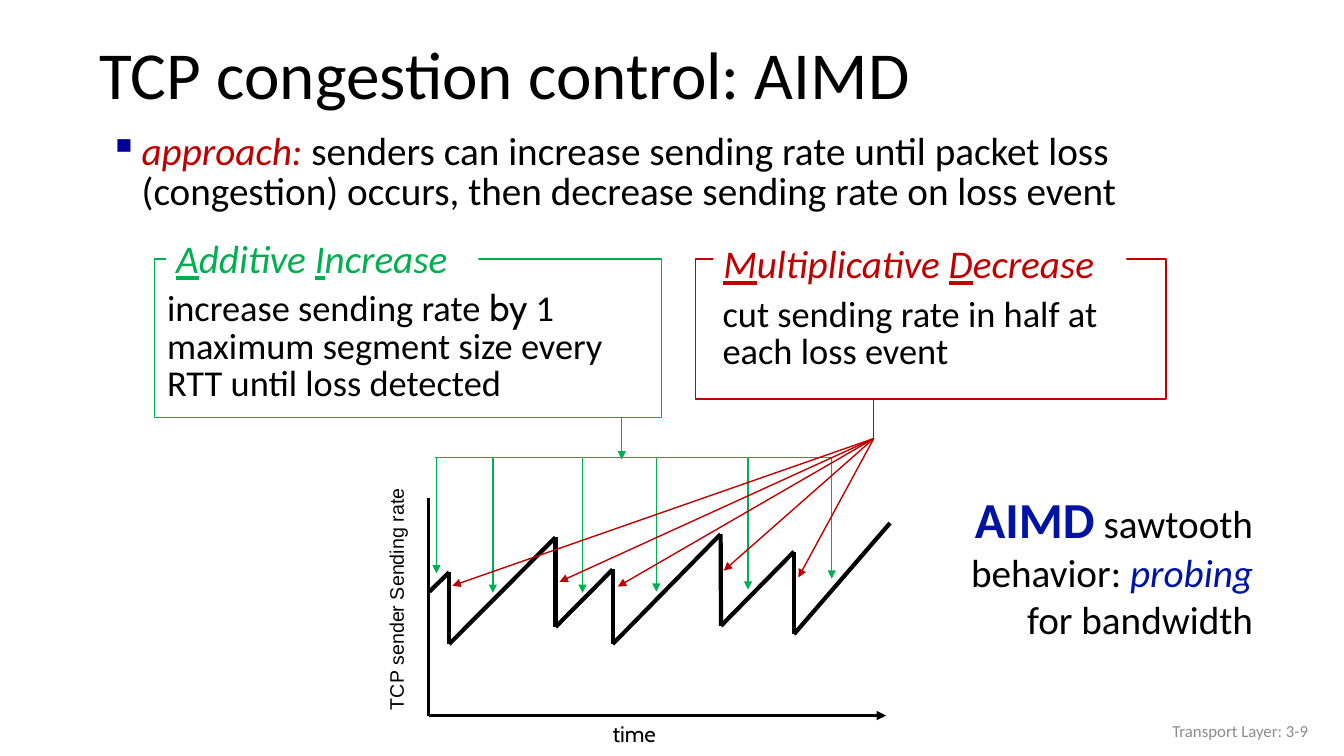
from itertools import pairwise

from lxml.etree import SubElement
from pptx import Presentation
from pptx.dml.color import RGBColor
from pptx.enum.shapes import MSO_CONNECTOR as Link, MSO_SHAPE as Preset
from pptx.enum.text import MSO_ANCHOR as Anchor, PP_ALIGN as Align
from pptx.oxml.ns import qn
from pptx.util import Cm, Pt

BLACK, WHITE, GREEN, RED = "000000", "FFFFFF", "00B050", "C00000"
NAVY, BULLET_BLUE, GRAY = "0013A3", "000099", "8C8C8C"

BUS_Y = 11.53
LOSS_ORIGIN = (22.02, 11.05)
SAWTOOTH = [
    (10.82, 14.91), (11.32, 14.42), (11.32, 16.23), (14, 13.54),
    (14, 15.8), (15.44, 14.35), (15.44, 16.23), (18.16, 13.46),
    (18.17, 15.77), (20.01, 13.9), (20.01, 15.98), (22.43, 13.18),
]
INCREASES = [
    (11, 14.45), (12.42, 14.94), (14.68, 14.94),
    (16.54, 14.91), (18.85, 14.86), (20.96, 14.58),
]
LOSSES = [
    (20.12, 14.55), (11.4, 14.76), (14.1, 14.66),
    (15.57, 14.78), (18.24, 14.38),
]


def rgb(color):
    return RGBColor.from_string(color)


def lengths(*values):
    return [Cm(value) for value in values]


def write(holder, *paragraphs, size, font="Calibri", color=BLACK, italic=False,
          align=Align.LEFT, anchor=Anchor.TOP, wrap=True, spacing=None,
          before=0, margin=0, level=0, bullet=None):
    frame = holder.text_frame
    frame.word_wrap = wrap
    frame.vertical_anchor = anchor
    for index, pieces in enumerate(paragraphs):
        paragraph = frame.add_paragraph() if index else frame.paragraphs[0]
        paragraph.alignment = align
        paragraph.level = level
        paragraph.space_before = Pt(before)
        if spacing:
            paragraph.line_spacing = spacing
        properties = paragraph._p.get_or_add_pPr()
        properties.set("marL", str(Cm(margin)))
        properties.set("indent", str(Cm(-margin if bullet else 0)))
        if bullet:
            tint = SubElement(properties, qn("a:buClr"))
            SubElement(tint, qn("a:srgbClr"), val=BULLET_BLUE)
            SubElement(properties, qn("a:buChar"), char=bullet)
        for text, style in pieces:
            run = paragraph.add_run()
            run.text = text
            run.font.name = style.get("font", font)
            run.font.size = Pt(style.get("size", size))
            run.font.color.rgb = rgb(style.get("color", color))
            run.font.bold = style.get("bold", False)
            run.font.italic = style.get("italic", italic)
            run.font.underline = style.get("underline", False)


def label(shapes, place, *paragraphs, **style):
    write(shapes.add_textbox(*lengths(*place)), *paragraphs, **style)


def white_box(shapes, place, outline=None):
    box = shapes.add_shape(Preset.RECTANGLE, *lengths(*place))
    box.shadow.inherit = False
    box.fill.solid()
    box.fill.fore_color.rgb = rgb(WHITE)
    if outline:
        box.line.color.rgb = rgb(outline)
        box.line.width = Pt(1)
    else:
        box.line.fill.background()
    return box


def line(shapes, start, end, color=BLACK, width=1, arrow=False):
    stroke = shapes.add_connector(Link.STRAIGHT, *lengths(*start, *end))
    stroke.line.color.rgb = rgb(color)
    stroke.line.width = Pt(width)
    if arrow:
        SubElement(stroke.line._get_or_add_ln(), qn("a:tailEnd"), type="triangle")
    SubElement(stroke._element.spPr, qn("a:effectLst"))


def panel(shapes, color, place, heading_place, heading, body_place, body):
    group = shapes.add_group_shape().shapes
    white_box(group, place, color)
    label(group, body_place, body, size=26, spacing=0.85, before=5.2,
          margin=1.27, level=1)
    initials = [(text, {"underline": len(text) == 1}) for text in heading]
    write(white_box(group, heading_place), initials, size=28, color=color,
          italic=True, spacing=0.85, before=5.6)


def axes(shapes):
    group = shapes.add_group_shape().shapes
    rate = white_box(group, (6.83, 14.55, 6.32, 0.86))
    rate.rotation = 270
    write(rate, [("TCP sender Sending rate", {})], size=14, font="Arial")
    line(group, (10.82, 18.03), (22.33, 18.03), width=2.25, arrow=True)
    line(group, (10.8, 12.55), (10.8, 18.03), width=2.25)
    label(group, (15.19, 18.01, 1.6, 0.94), [("time", {})], size=16,
          font="Cabin", wrap=False)


def increase_arrows(shapes):
    group = shapes.add_group_shape().shapes
    for x, bottom in INCREASES:
        line(group, (x, BUS_Y), (x, bottom), GREEN, arrow=True)
    line(group, (10.97, BUS_Y), (20.98, BUS_Y), GREEN)
    line(group, (15.67, 10.52), (15.67, 11.58), GREEN, arrow=True)


def decrease_arrows(shapes):
    group = shapes.add_group_shape().shapes
    for loss in LOSSES:
        line(group, LOSS_ORIGIN, loss, RED, arrow=True)
    line(group, LOSS_ORIGIN, (LOSS_ORIGIN[0], 10.06), RED)


def main():
    deck = Presentation()
    deck.slide_width, deck.slide_height = lengths(33.87, 19.05)
    shapes = deck.slides.add_slide(deck.slide_layouts[6]).shapes

    label(shapes, (2.26, 0.71, 31.65, 2.49),
          [("TCP congestion control: AIMD", {})],
          size=48, anchor=Anchor.MIDDLE, spacing=0.9)
    label(shapes, (2.51, 3.25, 28.55, 4.01),
          [("approach: ", {"color": RED, "italic": True}),
           ("senders can increase sending rate until packet loss (congestion) "
            "occurs, then decrease sending rate on loss event", {})],
          size=28, spacing=0.85, before=5.6, margin=0.81, bullet="▪")
    label(shapes, (24.13, 12.17, 7.7, 4.19),
          [("AIMD", {"size": 36, "color": NAVY, "bold": True}),
           (" sawtooth", {})],
          [("behavior: ", {}), ("probing", {"color": NAVY, "italic": True})],
          [("for bandwidth", {})],
          size=28, align=Align.RIGHT, wrap=False)

    for start, end in pairwise(SAWTOOTH):
        line(shapes, start, end, width=3)
    axes(shapes)

    panel(shapes, GREEN, (3.89, 6.53, 12.78, 3.99),
          (4.19, 5.97, 7.87, 1.24), ["A", "dditive ", "I", "ncrease"],
          (2.69, 7.24, 14.05, 4.01),
          [("increase sending rate ", {}), ("by ", {"font": "Cabin"}),
           ("1 maximum segment size every RTT until loss detected", {})])
    panel(shapes, RED, (17.53, 6.53, 11.86, 3.53),
          (17.98, 6.1, 10.41, 1.24), ["M", "ultiplicative ", "D", "ecrease"],
          (16.69, 7.37, 13.18, 2.29),
          [("cut sending rate in half at each loss event", {})])
    increase_arrows(shapes)
    decrease_arrows(shapes)

    label(shapes, (25.6, 17.91, 7.62, 1.02), [("Transport Layer: 3-9", {})],
          size=12, color=GRAY, align=Align.RIGHT, anchor=Anchor.MIDDLE)
    deck.save("out.pptx")


if __name__ == "__main__":
    main()
